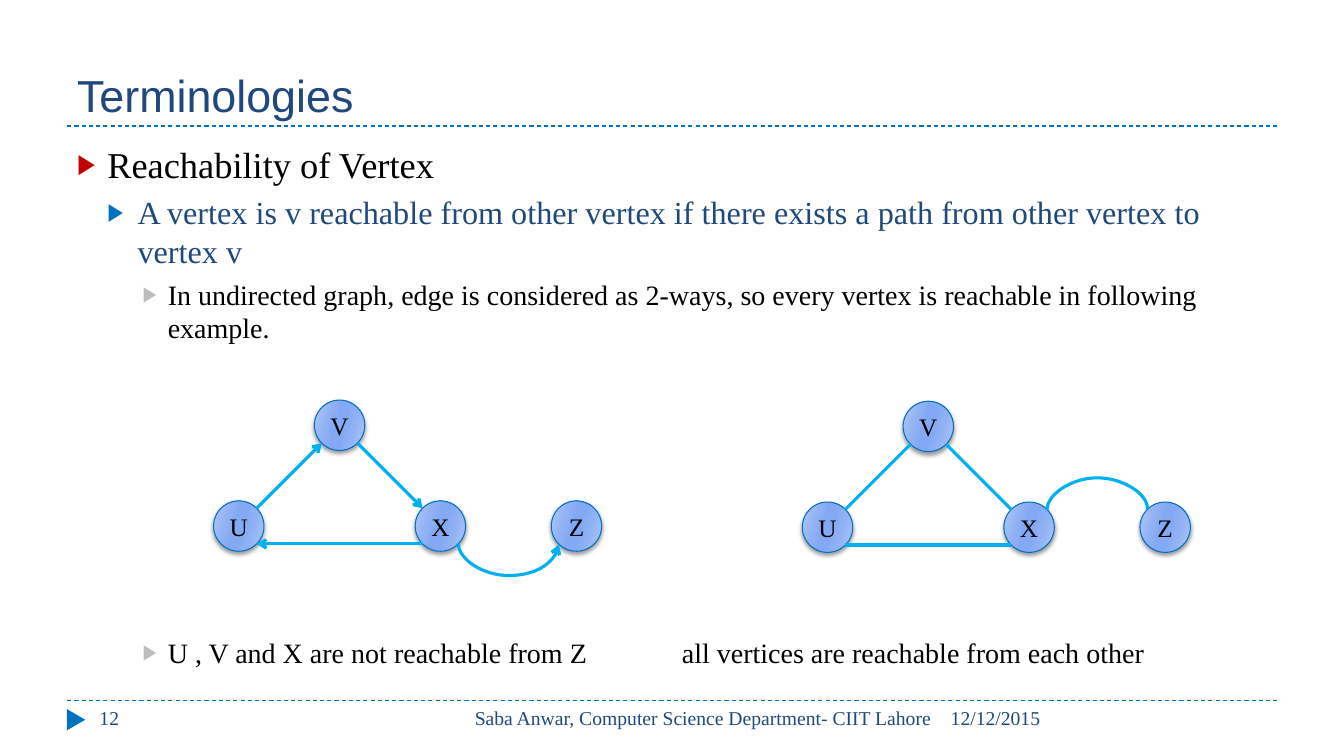
import pptx
import pptx.dml.color
import pptx.enum.dml
import pptx.enum.shapes
import pptx.enum.text
import pptx.oxml
import pptx.oxml.ns
import pptx.util

Pt = pptx.util.Pt
qn = pptx.oxml.ns.qn
SHAPES = pptx.enum.shapes.MSO_SHAPE
CONNECTORS = pptx.enum.shapes.MSO_CONNECTOR
ALIGN = pptx.enum.text.PP_ALIGN
ANCHOR = pptx.enum.text.MSO_ANCHOR
DRAWING = 'xmlns:a="http://schemas.openxmlformats.org/drawingml/2006/main"'
SERIF = "Times New Roman"
COLORS = {
    "navy": "1F497D", "blue": "0070C0", "red": "C00000", "gray": "BDBDBD",
    "black": "000000", "edge": "00B0F0",
    "rim": "B4C9F6", "middle": "90B1F4", "core": "83A9F4",
}
NODE_STOPS = [(0, "rim"), (30, "middle"), (45, "core"),
              (55, "core"), (73, "middle"), (100, "rim")]
NODE = 36
DIAGONAL = 5.3
NODE_OFFSETS = {"U": (0, 72), "V": (72, 0), "X": (144, 72), "Z": (241.2, 72)}


def rgb(name):
    """Return the named colour."""
    return pptx.dml.color.RGBColor.from_string(COLORS[name])


def append_xml(parent, markup):
    """Append a drawing element written as markup with an {ns} slot."""
    parent.append(pptx.oxml.parse_xml(markup.replace("{ns}", DRAWING)))


def write_text(paragraph, text, size=14, font=SERIF, color="navy",
               align=ALIGN.LEFT, before=0):
    """Put formatted text in a paragraph."""
    paragraph.text = text
    paragraph.alignment = align
    paragraph.space_before = Pt(before)
    paragraph.font.size = Pt(size)
    paragraph.font.name = font
    paragraph.font.color.rgb = rgb(color)


def add_box(slide, box, anchor=ANCHOR.TOP):
    """Add a wrapping text box and return its text frame."""
    frame = slide.shapes.add_textbox(*map(Pt, box)).text_frame
    frame.word_wrap = True
    frame.vertical_anchor = anchor
    return frame


def set_bullet(paragraph, indent, hanging, color):
    """Give a paragraph a hanging triangle bullet."""
    properties = paragraph._p.get_or_add_pPr()
    properties.set("marL", str(Pt(indent)))
    properties.set("indent", str(-Pt(hanging)))
    append_xml(properties, f'<a:buClr {{ns}}><a:srgbClr val="{COLORS[color]}"/></a:buClr>')
    append_xml(properties, '<a:buSzPct {ns} val="76000"/>')
    append_xml(properties, '<a:buFont {ns} typeface="Arial"/>')
    append_xml(properties, '<a:buChar {ns} char="▶"/>')


def style_connector(connector, color, width, arrow=False):
    """Set a connector's line and arrowhead and remove its shadow."""
    connector.line.color.rgb = rgb(color)
    connector.line.width = Pt(width)
    if arrow:
        append_xml(connector.line._get_or_add_ln(), '<a:tailEnd {ns} type="arrow"/>')
    append_xml(connector._element.spPr, "<a:effectLst {ns}/>")


def add_rule(slide, left, top, width):
    """Draw a dashed horizontal rule."""
    rule = slide.shapes.add_connector(
        CONNECTORS.STRAIGHT, Pt(left), Pt(top), Pt(left + width), Pt(top))
    style_connector(rule, "blue", 0.75)
    rule.line.dash_style = pptx.enum.dml.MSO_LINE.DASH


def add_header(slide, left, top, width, height):
    """Draw the title above its rule."""
    frame = add_box(slide, (left, top, width, height), ANCHOR.BOTTOM)
    write_text(frame.paragraphs[0], "Terminologies", size=32, font="Arial")
    add_rule(slide, left, top + height, width)


def add_footer(slide, left, top, width, height):
    """Draw the footer rule, marker, page number, author and date."""
    add_rule(slide, left, top, width)
    marker = slide.shapes.add_shape(
        SHAPES.ISOSCELES_TRIANGLE, Pt(left - 1.2), Pt(top + 7.2), Pt(15.1), Pt(13))
    marker.rotation = 90
    marker.shadow.inherit = False
    marker.fill.solid()
    marker.fill.fore_color.rgb = rgb("blue")
    marker.line.fill.background()
    parts = [
        (16, 208, "12", ALIGN.LEFT),
        (256.5, 368, "Saba Anwar, Computer Science Department- CIIT Lahore", ALIGN.RIGHT),
        (624, 240, "12/12/2015", ALIGN.LEFT),
    ]
    for offset, part_width, text, align in parts:
        frame = add_box(slide, (left + offset, top, part_width, height))
        write_text(frame.paragraphs[0], text, align=align)


def add_body(slide, left, top, width, height):
    """Write the bulleted text, leaving room for the graphs."""
    frame = add_box(slide, (left, top, width, height))
    third = {"indent": 64.8, "hanging": 18, "color": "gray"}
    items = [
        ("Reachability of Vertex", 26, "black", 0,
         {"indent": 21.6, "hanging": 21.6, "color": "red"}),
        ("A vertex is v reachable from other vertex if there exists a path "
         "from other vertex to vertex v", 23, "navy", 5,
         {"indent": 43.2, "hanging": 21.6, "color": "blue"}),
        ("In undirected graph, edge is considered as 2-ways, so every vertex "
         "is reachable in following example.", 20, "black", 5, third),
        ("U , V and X are not reachable from Z\t\t"
         "all vertices are reachable from each other", 20, "black", 208, third),
    ]
    for index, (text, size, color, before, bullet) in enumerate(items):
        paragraph = frame.add_paragraph() if index else frame.paragraphs[0]
        set_bullet(paragraph, **bullet)
        write_text(paragraph, text, size=size, color=color, before=before)


def add_node(group, left, top, label):
    """Draw one shaded, labelled vertex."""
    node = group.shapes.add_shape(SHAPES.OVAL, Pt(left), Pt(top), Pt(NODE), Pt(NODE))
    node.fill.gradient()
    node.fill.gradient_angle = 344
    stops = node._element.spPr.find(qn("a:gradFill")).find(qn("a:gsLst"))
    for stop in list(stops):
        stops.remove(stop)
    for position, color in NODE_STOPS:
        append_xml(stops, f'<a:gs {{ns}} pos="{position * 1000}">'
                          f'<a:srgbClr val="{COLORS[color]}"/></a:gs>')
    node.line.color.rgb = rgb("blue")
    node.line.width = Pt(0.75)
    node.shadow.inherit = False
    append_xml(node._element.spPr.find(qn("a:effectLst")),
               f'<a:outerShdw {{ns}} blurRad="{Pt(3)}" dist="{Pt(2)}" dir="5400000" '
               'rotWithShape="0"><a:srgbClr val="000000"><a:alpha val="40000"/>'
               "</a:srgbClr></a:outerShdw>")
    frame = node.text_frame
    frame.word_wrap = False
    frame.vertical_anchor = ANCHOR.MIDDLE
    write_text(frame.paragraphs[0], label, size=18, color="black", align=ALIGN.CENTER)


def add_arc(group, start, end, y, downward):
    """Draw a curved edge between two points at one height."""
    middle, half = (start + end) / 2, (end - start) / 2
    arc = group.shapes.add_connector(
        CONNECTORS.CURVE, Pt(middle - 0.5), Pt(y - half), Pt(middle + 0.5), Pt(y + half))
    properties = arc._element.spPr
    transform = properties.find(qn("a:xfrm"))
    transform.set("rot", str((270 if downward else 90) * 60000))
    transform.set("flipH", "1")
    if not downward:
        transform.set("flipV", "1")
    adjustments = properties.find(qn("a:prstGeom")).get_or_add_avLst()
    append_xml(adjustments, '<a:gd {ns} name="adj1" fmla="val 2327200"/>')
    style_connector(arc, "edge", 2.25, arrow=downward)


def add_graph(slide, left, top, directed):
    """Draw the four-vertex graph with directed or plain edges."""
    group = slide.shapes.add_group_shape()
    near, far = DIAGONAL, NODE - DIAGONAL
    places = {label: (left + x, top + y) for label, (x, y) in NODE_OFFSETS.items()}
    for label, (x, y) in places.items():
        add_node(group, x, y, label)
    edges = [
        ("U", (far, near), "V", (near, far)),
        ("X", (near, far), "U", (far, far)),
        ("V", (far, far), "X", (near, near)),
    ]
    for source, source_corner, target, target_corner in edges:
        ends = [place + corner for name, corners in
                ((source, source_corner), (target, target_corner))
                for place, corner in zip(places[name], corners)]
        edge = group.shapes.add_connector(CONNECTORS.STRAIGHT, *map(Pt, ends))
        style_connector(edge, "edge", 2.25, arrow=directed)
    add_arc(group, places["X"][0] + far, places["Z"][0] + near,
            places["X"][1] + (far if directed else near), directed)


def main():
    """Build and save the slide."""
    presentation = pptx.Presentation()
    presentation.slide_width, presentation.slide_height = Pt(960), Pt(540)
    slide = presentation.slides.add_slide(presentation.slide_layouts[6])
    add_header(slide, 48, 12, 864, 78)
    add_footer(slide, 48, 500.4, 864, 28.8)
    add_body(slide, 48, 98, 864, 389)
    add_graph(slide, 573.1, 286.6, directed=False)
    add_graph(slide, 152.6, 285.8, directed=True)
    presentation.save("out.pptx")


if __name__ == "__main__":
    main()
